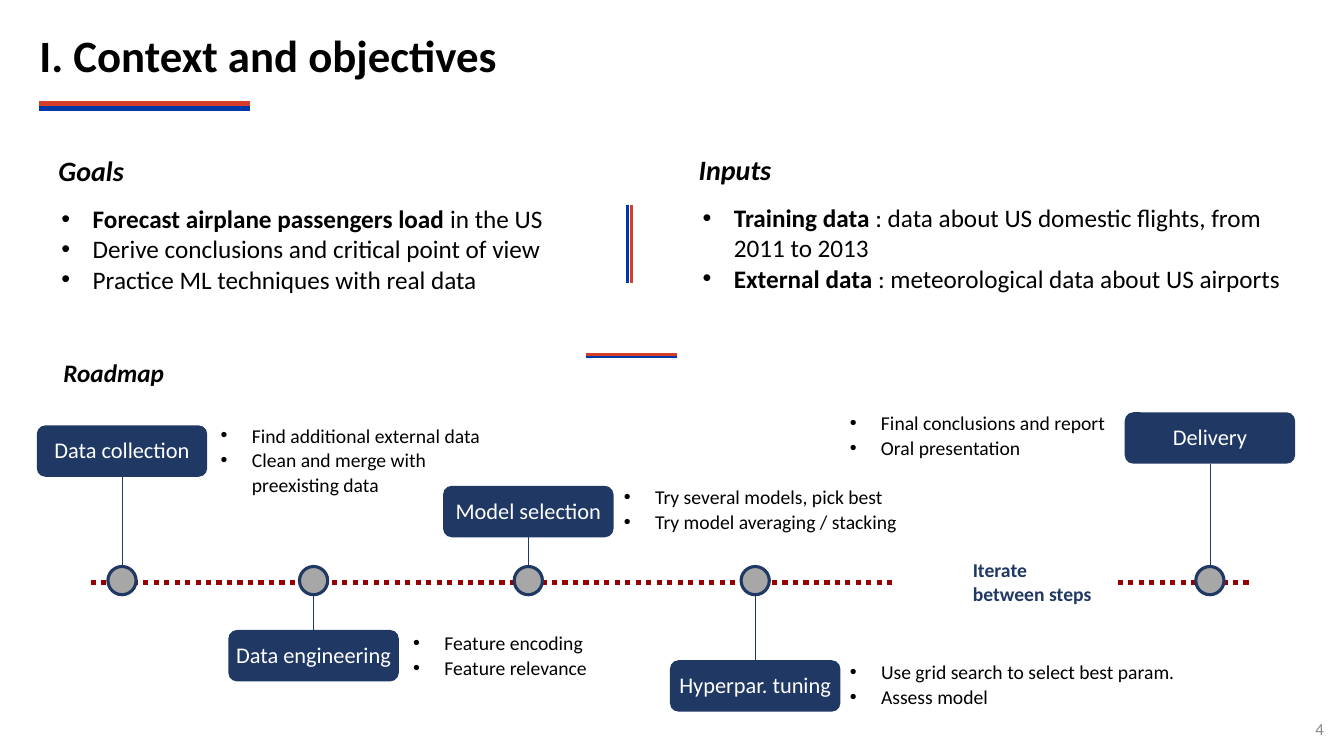
import dataclasses

import pptx
import pptx.dml.color
import pptx.enum.dml
import pptx.enum.shapes
import pptx.enum.text
import pptx.oxml
import pptx.oxml.ns
import pptx.util
from pptx.util import Inches

Align = pptx.enum.text.PP_ALIGN
Anchor = pptx.enum.text.MSO_ANCHOR
Fit = pptx.enum.text.MSO_AUTO_SIZE
Shape = pptx.enum.shapes.MSO_SHAPE
Color = pptx.dml.color.RGBColor.from_string


@dataclasses.dataclass(frozen=True)
class Theme:
    font: str = "Calibri"
    black: str = "000000"
    white: str = "FFFFFF"
    navy: str = "203864"
    blue: str = "0039A7"
    red: str = "D73E2A"
    dark_red: str = "970001"
    grey: str = "A7A7A7"
    number_grey: str = "888888"
    title: int = 32
    heading: int = 20
    body: int = 18
    step: int = 16
    detail: int = 14
    number: int = 12
    step_spacing: float = 17.6


theme = Theme()
deck = pptx.Presentation()
deck.slide_width, deck.slide_height = Inches(13.33), Inches(7.5)
page = deck.slides.add_slide(deck.slide_layouts[5])
shapes = page.shapes


def write_text(box, paragraphs, size, color=theme.black, bold=False, italic=False,
               bullets=False, spacing=None, align=Align.LEFT, frame_format=None):
    """Fill a shape with paragraphs; each is a string or a list of (text, bold) spans."""
    frame = box.text_frame
    settings = {"word_wrap": True, "auto_size": Fit.NONE, **(frame_format or {})}
    for name, value in settings.items():
        setattr(frame, name, value)
    for index, content in enumerate(paragraphs):
        para = frame.add_paragraph() if index else frame.paragraphs[0]
        para.alignment = align
        if spacing:
            para.line_spacing = spacing
        if bullets:
            properties = para._p.get_or_add_pPr()
            properties.set("marL", str(Inches(0.31)))
            properties.set("indent", str(Inches(-0.31)))
            for tag, key, value in (("buFont", "typeface", "Arial"), ("buChar", "char", "•")):
                properties.append(pptx.oxml.parse_xml(
                    f'<a:{tag} {pptx.oxml.ns.nsdecls("a")} {key}="{value}"/>'))
        for text, is_bold in [(content, bold)] if isinstance(content, str) else content:
            span = para.add_run()
            span.text = text
            values = {"name": theme.font, "size": pptx.util.Pt(size),
                      "bold": is_bold, "italic": italic}
            for name, value in values.items():
                setattr(span.font, name, value)
            span.font.color.rgb = Color(color)


def draw_line(x1, y1, x2, y2, color, width):
    line = shapes.add_connector(pptx.enum.shapes.MSO_CONNECTOR.STRAIGHT,
                                Inches(x1), Inches(y1), Inches(x2), Inches(y2))
    line.line.color.rgb = Color(color)
    line.line.width = pptx.util.Pt(width)
    line._element.spPr.append(
        pptx.oxml.parse_xml(f'<a:effectLst {pptx.oxml.ns.nsdecls("a")}/>'))
    return line


tight = {f"margin_{side}": Inches(0.05) for side in ("left", "right", "top", "bottom")}

# Title and its two-colour rules
title = shapes.title
title.left, title.top, title.width, title.height = map(Inches, (0.34, 0.01, 10.47, 1.14))
write_text(title, ["I. Context and objectives"], theme.title, bold=True, spacing=0.9,
           frame_format={**tight, "vertical_anchor": Anchor.MIDDLE})

for x1, y1, x2, y2, color, width in (
    (0.39, 1.08, 2.48, 1.08, theme.blue, 3.5),
    (0.39, 1.03, 2.48, 1.03, theme.red, 3.5),
    (5.81, 3.54, 6.71, 3.54, theme.blue, 2.25),
    (5.81, 3.52, 6.71, 3.52, theme.red, 2.25),
    (6.22, 2.03, 6.22, 2.81, theme.blue, 2.25),
    (6.26, 2.03, 6.26, 2.81, theme.red, 2.25),
):
    draw_line(x1, y1, x2, y2, color, width)

# Section headings
for text, left, top, width, height, size in (
    ("Goals", 0.53, 1.47, 0.75, 0.44, theme.heading),
    ("Inputs", 6.88, 1.46, 1.23, 0.44, theme.heading),
    ("Roadmap", 0.58, 3.5, 1.1, 0.4, theme.body),
):
    heading = shapes.add_textbox(*map(Inches, (left, top, width, height)))
    write_text(heading, [text], size, bold=True, italic=True,
               frame_format={**tight, "word_wrap": text == "Inputs"})

# Goals and inputs
goals = shapes.add_textbox(*map(Inches, (0.56, 1.97, 5.05, 1.01)))
write_text(goals, [
    [("Forecast airplane passengers load", True), (" in the US", False)],
    "Derive conclusions and critical point of view",
    "Practice ML techniques with real data",
], theme.body, bullets=True, frame_format=tight)

inputs = shapes.add_textbox(*map(Inches, (6.87, 1.96, 6.11, 1.01)))
write_text(inputs, [
    [("Training data ", True),
     (": data about US domestic flights, from 2011 to 2013", False)],
    [("External data ", True), (": meteorological data about US airports", False)],
], theme.body, bullets=True)

# Timeline, interrupted by the iteration note
axis_y = 5.78
axis = draw_line(0.9, axis_y, 12.39, axis_y, theme.dark_red, 3.75)
axis.line.dash_style = pptx.enum.dml.MSO_LINE.ROUND_DOT

gap = shapes.add_shape(Shape.RECTANGLE, *map(Inches, (8.88, 5.59, 2.15, 0.37)))
gap.shadow.inherit = False
gap.fill.solid()
gap.fill.fore_color.rgb = Color(theme.white)
gap.line.fill.background()

note = shapes.add_textbox(*map(Inches, (9.55, 5.49, 1.47, 0.57)))
write_text(note, ["Iterate between steps"], theme.detail, theme.navy, bold=True)

# Steps: name, centre x, box top, details with their left, top, width and height
box_width, box_height, dot_size = 1.69, 0.51, 0.28
dot_top = 5.62
steps = (
    ("Data collection", 1.21, 4.22, (2.09, 4.14, 3.05, 0.85),
     ["Find additional external data", "Clean and merge with preexisting data"]),
    ("Data engineering", 3.11, 6.25, (4, 6.2, 2.82, 0.61),
     ["Feature encoding", "Feature relevance"]),
    ("Model selection", 5.24, 4.82, (6.09, 4.75, 2.94, 0.59),
     ["Try several models, pick best", "Try model averaging / stacking"]),
    ("Hyperpar. tuning", 7.49, 6.55, (8.33, 6.49, 4.05, 0.59),
     ["Use grid search to select best param.", "Assess model"]),
    ("Delivery", 12, 4.09, (8.33, 4.02, 2.97, 0.61),
     ["Final conclusions and report", "Oral presentation"]),
)
for name, center, top, detail_area, details in steps:
    box = shapes.add_shape(Shape.ROUNDED_RECTANGLE, Inches(center - box_width / 2),
                           Inches(top), Inches(box_width), Inches(box_height))
    dot = shapes.add_shape(Shape.OVAL, Inches(center - dot_size / 2), Inches(dot_top),
                           Inches(dot_size), Inches(dot_size))
    for shape, fill in ((box, theme.navy), (dot, theme.grey)):
        shape.shadow.inherit = False
        shape.fill.solid()
        shape.fill.fore_color.rgb = Color(fill)
    box.line.fill.background()
    dot.line.color.rgb = Color(theme.navy)
    dot.line.width = pptx.util.Pt(2.25)
    write_text(box, [name], theme.step, theme.white, align=Align.CENTER,
               spacing=pptx.util.Pt(theme.step_spacing),
               frame_format={"margin_left": 0, "margin_right": 0, "word_wrap": False,
                             "vertical_anchor": Anchor.MIDDLE})

    above = top < axis_y
    dot_edge = dot_top if above else dot_top + dot_size
    box_edge = top + box_height if above else top
    stem = draw_line(center, box_edge, center, dot_edge, theme.navy, 0.25)
    stem.begin_connect(box, 2 if above else 0)

    detail_box = shapes.add_textbox(*map(Inches, detail_area))
    write_text(detail_box, details, theme.detail, bullets=True,
               spacing=pptx.util.Pt(theme.step_spacing))

page_number = shapes.add_textbox(*map(Inches, (12.98, 7.08, 0.2, 0.29)))
write_text(page_number, ["4"], theme.number, theme.number_grey, align=Align.RIGHT,
           frame_format={**tight, "word_wrap": False, "vertical_anchor": Anchor.MIDDLE})

deck.save("out.pptx")
